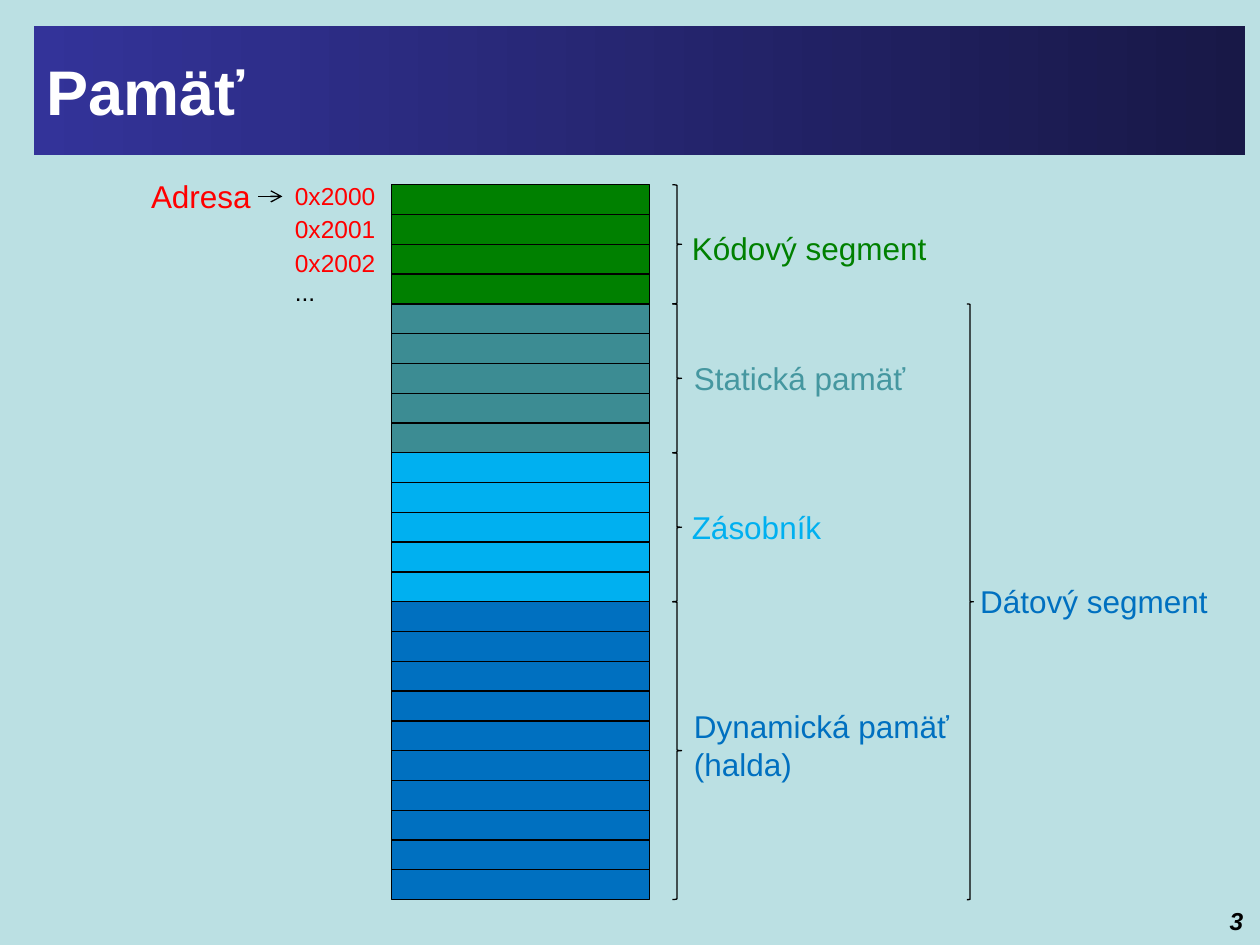
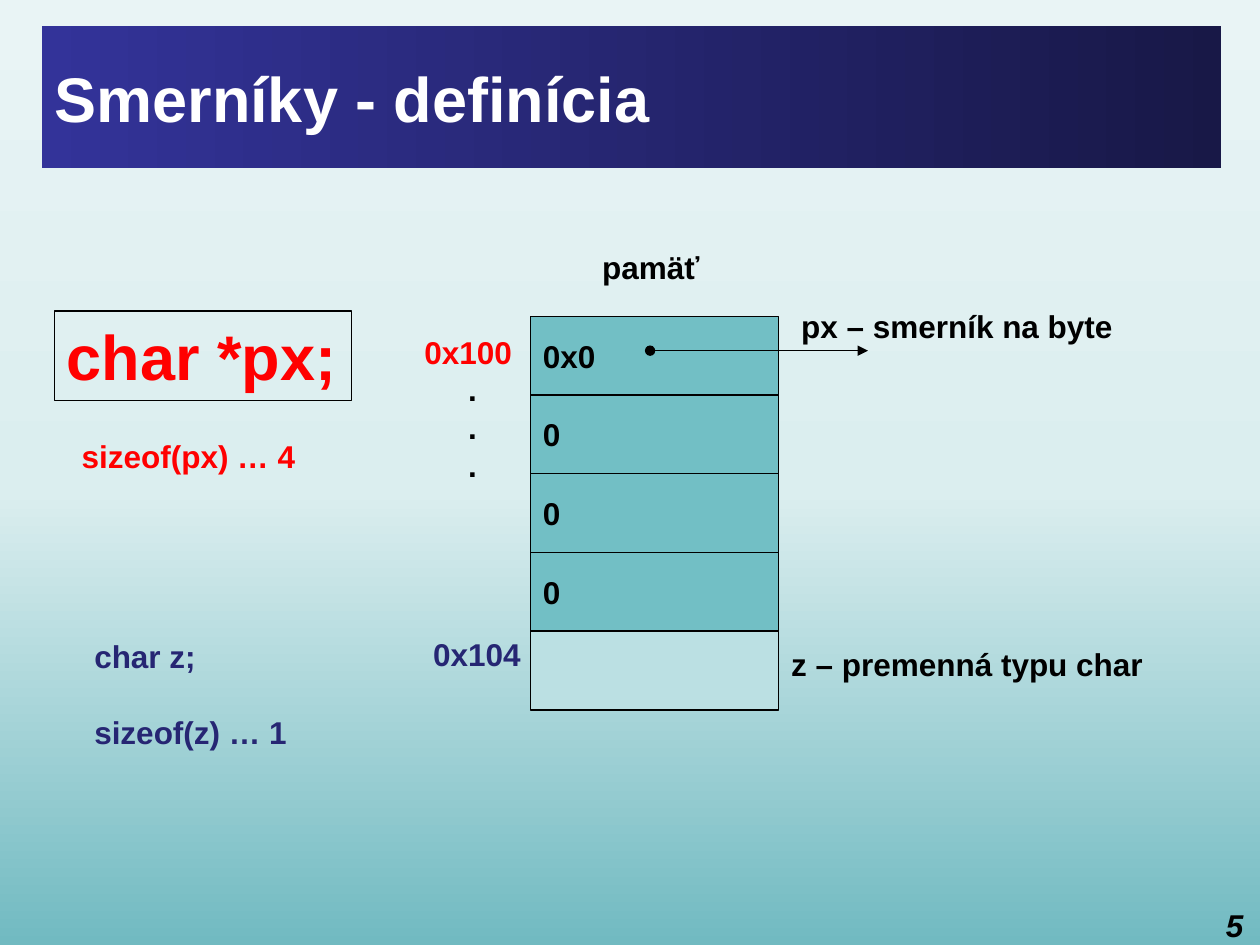
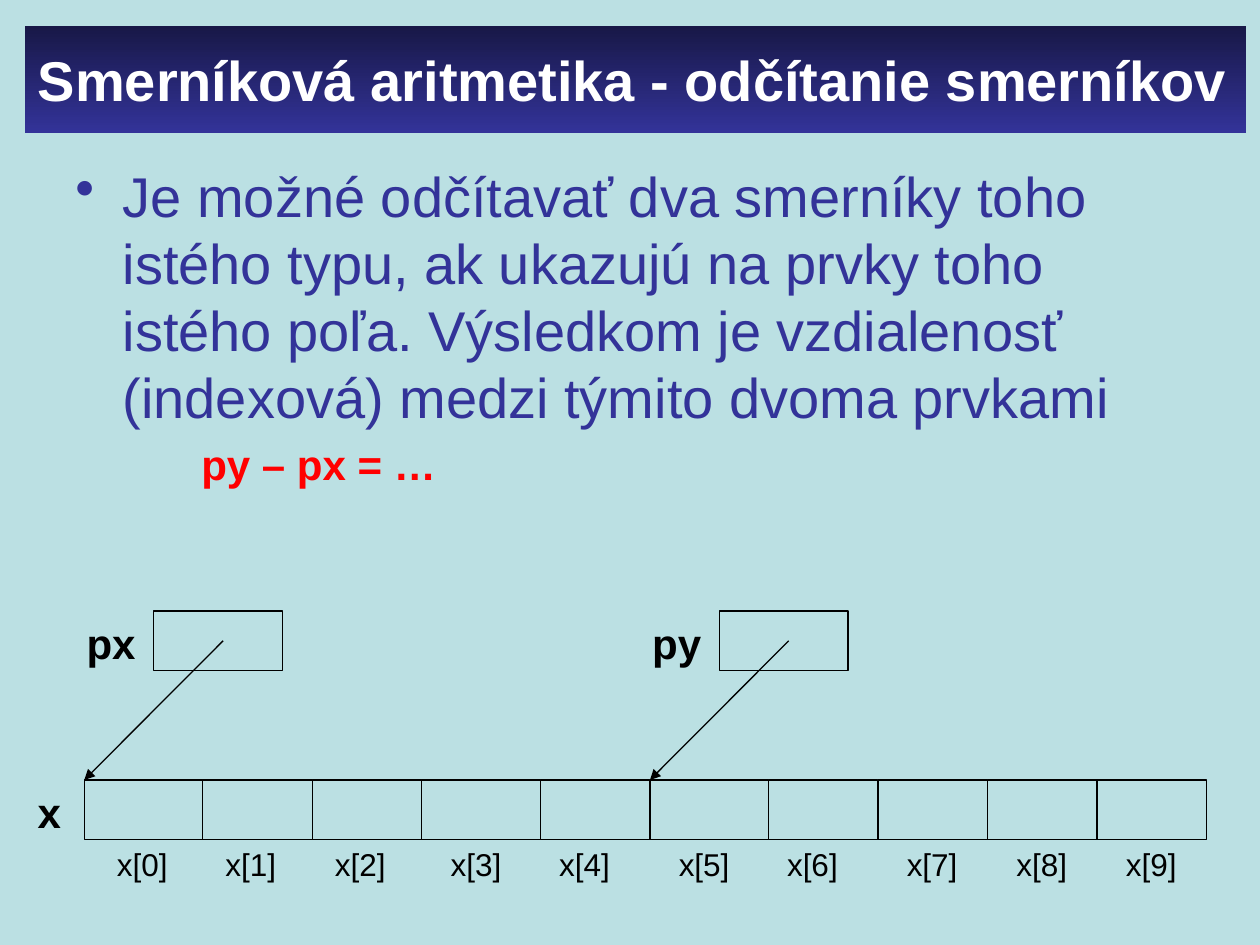
import copy
import itertools
from dataclasses import dataclass
from typing import Optional

import lxml.etree
import pptx
import pptx.dml.color
import pptx.dml.fill
import pptx.enum.shapes
import pptx.enum.text
import pptx.oxml.ns
import pptx.presentation
import pptx.shapes.autoshape
import pptx.slide
import pptx.util
from pptx.util import Pt

FONT = "Arial"
COLOURS = {
    "background": "BBE0E3",
    "band_light": "333399",
    "band_dark": "181847",
    "sky": "E9F4F5",
    "mist": "DBEEEF",
    "sea": "71BAC1",
    "white": "FFFFFF",
    "black": "000000",
    "red": "FF0000",
    "code": "008000",
    "static": "3C8C93",
    "static_label": "4597A0",
    "stack": "00B0F0",
    "heap": "0070C0",
    "pointer": "72BFC5",
    "variable": "262673",
}
RECTANGLE = pptx.enum.shapes.MSO_SHAPE.RECTANGLE
BRACE = pptx.enum.shapes.MSO_SHAPE.RIGHT_BRACE
qn = pptx.oxml.ns.qn


@dataclass(frozen=True)
class Box:
    left: float
    top: float
    width: float
    height: float

    def lengths(self) -> tuple:
        return Pt(self.left), Pt(self.top), Pt(self.width), Pt(self.height)


@dataclass(frozen=True)
class Label:
    text: str
    box: Box
    colour: str = "black"
    size: float = 18
    bold: bool = True
    wrap: bool = False


@dataclass(frozen=True)
class Segment:
    cells: int
    colour: str
    label: Label


@dataclass(frozen=True)
class ArrayCell:
    width: float
    label_offset: float


@dataclass(frozen=True)
class Pointer:
    name: str
    target: int


def rgb(colour: str) -> pptx.dml.color.RGBColor:
    return pptx.dml.color.RGBColor.from_string(COLOURS[colour])


def set_gradient(owner, fill: pptx.dml.fill.FillFormat, stops: list, angle: float) -> None:
    """Fill with (position, colour) stops; the angle runs counter-clockwise."""
    fill.gradient()
    fill.gradient_angle = angle
    stop_list = next(owner.element.iter(qn("a:gsLst")))
    while len(stop_list) < len(stops):
        stop_list.append(copy.deepcopy(stop_list[0]))
    for stop, (position, colour) in zip(fill.gradient_stops, stops):
        stop.position = position
        stop.color.rgb = rgb(colour)


def set_font(paragraph, size: float, colour: str, bold: bool = False, italic: bool = False) -> None:
    font = paragraph.font
    font.name = FONT
    font.size = Pt(size)
    font.bold = bold
    font.italic = italic
    font.color.rgb = rgb(colour)


def set_indent(paragraph, left: float, first: float = 0, bullet: str = "") -> None:
    properties = paragraph._p.get_or_add_pPr()
    properties.set("marL", str(Pt(left)))
    properties.set("indent", str(Pt(first)))
    if bullet:
        lxml.etree.SubElement(properties, qn("a:buChar")).set("char", bullet)


def add_titled_slide(deck: pptx.presentation.Presentation, text: str, box: Box,
                     size: float = 36, vertical: bool = False) -> pptx.slide.Slide:
    slide = deck.slides.add_slide(deck.slide_layouts[5])
    slide.background.fill.solid()
    slide.background.fill.fore_color.rgb = rgb("background")
    title = slide.shapes.title
    title.left, title.top, title.width, title.height = box.lengths()
    ends = ["band_dark", "band_light"] if vertical else ["band_light", "band_dark"]
    set_gradient(title, title.fill, list(zip([0, 1], ends)), 270 if vertical else 0)
    frame = title.text_frame
    frame.text = text
    frame.auto_size = pptx.enum.text.MSO_AUTO_SIZE.NONE
    frame.vertical_anchor = pptx.enum.text.MSO_ANCHOR.MIDDLE
    frame.paragraphs[0].alignment = pptx.enum.text.PP_ALIGN.LEFT
    set_font(frame.paragraphs[0], size, "white", bold=True)
    return slide


def add_label(slide: pptx.slide.Slide, label: Label) -> pptx.shapes.autoshape.Shape:
    """Add a text box with one paragraph for each line of the label."""
    shape = slide.shapes.add_textbox(*label.box.lengths())
    frame = shape.text_frame
    frame.text = label.text
    frame.word_wrap = label.wrap
    frame.auto_size = pptx.enum.text.MSO_AUTO_SIZE.SHAPE_TO_FIT_TEXT
    for paragraph in frame.paragraphs:
        set_font(paragraph, label.size, label.colour, label.bold)
    return shape


def add_page_number(slide: pptx.slide.Slide, number: str, size: float) -> None:
    frame = slide.shapes.add_textbox(Pt(679.5), Pt(514), Pt(38), Pt(22.5)).text_frame
    frame.word_wrap = True
    frame.text = number
    frame.paragraphs[0].alignment = pptx.enum.text.PP_ALIGN.RIGHT
    set_font(frame.paragraphs[0], size, "black", bold=True, italic=True)


def outline(line) -> None:
    line.color.rgb = rgb("black")
    line.width = Pt(0.75)


def add_outlined(slide: pptx.slide.Slide, kind, box: Box, fill: Optional[str] = None,
                 text: str = "") -> None:
    shape = slide.shapes.add_shape(kind, *box.lengths())
    shape.shadow.inherit = False
    outline(shape.line)
    if fill:
        shape.fill.solid()
        shape.fill.fore_color.rgb = rgb(fill)
    else:
        shape.fill.background()
    if text:
        frame = shape.text_frame
        frame.text = text
        frame.vertical_anchor = pptx.enum.text.MSO_ANCHOR.MIDDLE
        frame.paragraphs[0].alignment = pptx.enum.text.PP_ALIGN.LEFT
        set_font(frame.paragraphs[0], 18, "black", bold=True)


def add_arrow(slide: pptx.slide.Slide, start: tuple, end: tuple,
              tip: str = "triangle", origin: str = "none") -> None:
    arrow = slide.shapes.add_connector(
        pptx.enum.shapes.MSO_CONNECTOR.STRAIGHT, *map(Pt, start + end))
    outline(arrow.line)
    properties = arrow.element.spPr
    line = properties.find(qn("a:ln"))
    lxml.etree.SubElement(line, qn("a:headEnd")).set("type", origin)
    lxml.etree.SubElement(line, qn("a:tailEnd")).set("type", tip)
    lxml.etree.SubElement(properties, qn("a:effectLst"))


def build_memory(deck: pptx.presentation.Presentation) -> None:
    slide = add_titled_slide(deck, "Pamäť", Box(19.5, 15, 692, 73.5))
    add_page_number(slide, "3", 14)

    def segment_label(text: str, box: Box, colour: str) -> Label:
        return Label(text, box, colour, bold=False, wrap=True)

    segments = [
        Segment(4, "code", segment_label("Kódový segment", Box(388.25, 127.5, 170, 29), "code")),
        Segment(5, "static",
                segment_label("Statická pamäť", Box(389.5, 201.6, 158, 29), "static_label")),
        Segment(5, "stack", segment_label("Zásobník", Box(388.25, 287, 158, 29), "stack")),
        Segment(10, "heap",
                segment_label("Dynamická pamäť (halda)", Box(389.5, 400.5, 180, 51), "heap")),
    ]
    memory_top, cell_height = 105.6, 17.02
    top = memory_top
    for segment in segments:
        for index in range(segment.cells):
            cell = Box(223.75, top + index * cell_height, 147.5, cell_height)
            add_outlined(slide, RECTANGLE, cell, segment.colour)
        height = segment.cells * cell_height
        add_outlined(slide, BRACE, Box(384.25, top, 5.25, height))
        add_label(slide, segment.label)
        top += height

    data_top = memory_top + segments[0].cells * cell_height
    add_outlined(slide, BRACE, Box(552.5, data_top, 3.75, top - data_top))
    add_label(slide, segment_label("Dátový segment", Box(553, 329, 170, 29), "heap"))

    addresses = [("0x2000", 100, "red"), ("0x2001", 119, "red"),
                 ("0x2002", 138, "red"), ("...", 155, "black")]
    for address, address_top, colour in addresses:
        add_label(slide, Label(address, Box(161.4, address_top, 62.5, 24.5), colour, 14,
                               bold=False, wrap=True))
    add_label(slide, Label("Adresa", Box(79.2, 97.5, 79, 29), "red", bold=False, wrap=True))
    add_arrow(slide, (147.5, 112.25), (161.4, 112.25), tip="arrow")


def build_definition(deck: pptx.presentation.Presentation) -> None:
    slide = add_titled_slide(deck, "Smerníky - definícia", Box(24, 15, 674, 81))
    set_gradient(slide, slide.background.fill, [(0, "sea"), (0.48, "mist"), (1, "sky")], 90)
    add_page_number(slide, "5", 18)

    pointer_bytes = [("0x0", "pointer")] + [("0", "pointer")] * 3
    for index, (value, fill) in enumerate(pointer_bytes + [("", "background")]):
        add_outlined(slide, RECTANGLE, Box(303.1, 180.7 + index * 45, 141.8, 45), fill, value)
    add_arrow(slide, (371.5, 200.4), (496, 200.4), origin="oval")

    line_height = 21.6
    addresses = add_label(slide, Label("0x100\n.\n.\n.\n0x104", Box(235.4, 186.5, 73.5, 225),
                                       "red", wrap=True))
    _, *dots, variable_address = addresses.text_frame.paragraphs
    for dot in dots:
        set_indent(dot, 25)
        dot.font.color.rgb = rgb("black")
    set_indent(variable_address, 5)
    variable_address.space_before = Pt(4 * line_height)
    variable_address.font.color.rgb = rgb("variable")

    declaration = add_label(slide, Label("char *px;", Box(31, 177.8, 170, 51), "red", 36))
    outline(declaration.line)
    variable = add_label(slide, Label("char z;\nsizeof(z) … 1", Box(46.8, 360.7, 125.3, 72.7),
                                      "variable"))
    variable.text_frame.paragraphs[1].space_before = Pt(line_height)
    for label in [
        Label("px – smerník na byte", Box(450.7, 172.1, 194.4, 29)),
        Label("z – premenná typu char", Box(445, 365, 217.4, 29)),
        Label("pamäť", Box(337, 138.2, 70.6, 29)),
        Label("sizeof(px) … 4", Box(39.6, 246.2, 137.5, 29), "red"),
    ]:
        add_label(slide, label)


def build_subtraction(deck: pptx.presentation.Presentation) -> None:
    slide = add_titled_slide(deck, "Smerníková aritmetika - odčítanie smerníkov",
                             Box(14.4, 15, 697.5, 61), size=32, vertical=True)
    frame = slide.shapes.add_textbox(Pt(36), Pt(88.6), Pt(648), Pt(451.4)).text_frame
    frame.word_wrap = True
    frame.text = ("Je možné odčítavať dva smerníky toho istého typu, ak ukazujú na prvky toho "
                  "istého poľa. Výsledkom je vzdialenosť (indexová) medzi týmito dvoma prvkami"
                  "\npy – px = …")
    rule, example = frame.paragraphs
    set_font(rule, 32, "band_light")
    rule.space_before = Pt(6.4)
    set_indent(rule, 27, -27, "•")
    set_font(example, 24, "red", bold=True)
    example.space_before = Pt(4.8)
    set_indent(example, 90, -18)

    wide, narrow = 67.7, 62.6
    cells = [ArrayCell(wide, 11.5), ArrayCell(narrow, 5.8), ArrayCell(narrow, 5.8),
             ArrayCell(wide, 9.4), ArrayCell(narrow, 3.6), ArrayCell(wide, 9.4),
             ArrayCell(narrow, 3.6)] + [ArrayCell(narrow, 9.4)] * 3
    array_top, cell_height = 445.7, 34
    lefts = list(itertools.accumulate((cell.width for cell in cells), initial=48.2))
    for index, (cell, left) in enumerate(zip(cells, lefts)):
        add_outlined(slide, RECTANGLE, Box(left, array_top, cell.width, cell_height), "background")
        add_label(slide, Label(f"x[{index}]", Box(left + cell.label_offset, 479.5, 43.2, 29),
                               bold=False))
    add_label(slide, Label("x", Box(14.4, array_top, 28, 36), size=24))

    pointer_top = 349.2
    for pointer in [Pointer("px", 0), Pointer("py", 5)]:
        left = lefts[pointer.target]
        add_outlined(slide, RECTANGLE, Box(left + 39.6, pointer_top, 73.7, cell_height),
                     "background")
        add_label(slide, Label(pointer.name, Box(left - 5.8, pointer_top, 42.5, 36), size=24))
        add_arrow(slide, (left + 79.3, pointer_top + cell_height / 2), (left, array_top))


def main() -> None:
    deck = pptx.Presentation()
    deck.slide_width, deck.slide_height = Pt(720), Pt(540)
    build_memory(deck)
    build_definition(deck)
    build_subtraction(deck)
    deck.save("out.pptx")


if __name__ == "__main__":
    main()
